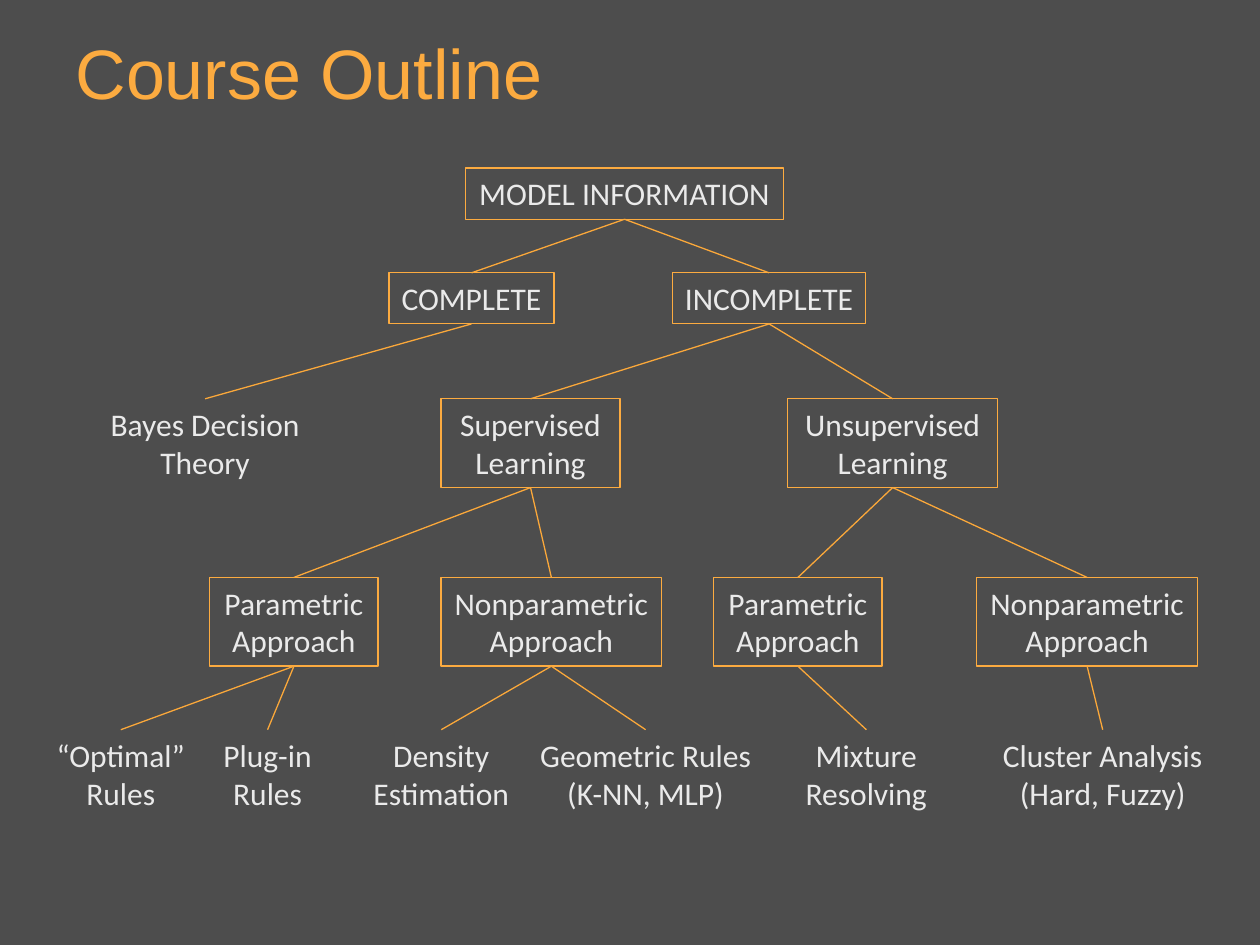
from lxml.etree import SubElement
from pptx import Presentation
from pptx.dml.color import RGBColor
from pptx.enum.shapes import MSO_CONNECTOR, MSO_SHAPE
from pptx.enum.text import MSO_ANCHOR, PP_ALIGN
from pptx.oxml.ns import qn
from pptx.util import Cm, Pt

BACKGROUND = RGBColor(0x4D, 0x4D, 0x4D)
ORANGE = RGBColor(0xFC, 0xAB, 0x40)
LINE_ORANGE = RGBColor(0xFB, 0xA8, 0x3A)
LIGHT = RGBColor(0xEA, 0xEA, 0xEA)

LEVELS = [
    (3.39, 1.03, True, [
        ("model", "MODEL INFORMATION", 9.38, 6.42, None),
    ]),
    (5.5, 1.03, True, [
        ("complete", "COMPLETE", 7.84, 3.33, "model"),
        ("incomplete", "INCOMPLETE", 13.56, 3.89, "model"),
    ]),
    (8.04, 1.79, True, [
        ("supervised", "Supervised Learning", 8.89, 3.61, "incomplete"),
        ("unsupervised", "Unsupervised Learning", 15.88, 4.23, "incomplete"),
    ]),
    (8.04, 1.79, False, [
        ("bayes", "Bayes Decision Theory", 1.91, 4.45, "complete"),
    ]),
    (11.64, 1.79, True, [
        ("sup_param", "Parametric Approach", 4.23, 3.39, "supervised"),
        ("sup_nonparam", "Nonparametric Approach", 8.89, 4.45, "supervised"),
        ("unsup_param", "Parametric Approach", 14.39, 3.39, "unsupervised"),
        ("unsup_nonparam", "Nonparametric Approach", 19.69, 4.45, "unsupervised"),
    ]),
    (14.71, 1.79, False, [
        ("optimal", "“Optimal” Rules", 0.85, 3.17, "sup_param"),
        ("plug_in", "Plug-in Rules", 4.02, 2.75, "sup_param"),
        ("density", "Density Estimation", 7.2, 3.39, "sup_nonparam"),
        ("geometric", "Geometric Rules (K-NN, MLP)", 10.58, 4.87, "sup_nonparam"),
        ("mixture", "Mixture Resolving", 15.88, 3.17, "unsup_param"),
        ("cluster", "Cluster Analysis (Hard, Fuzzy)", 19.9, 4.66, "unsup_nonparam"),
    ]),
]


class TreeSlide:
    def __init__(self, prs):
        self.font = "Calibri"
        self.size = Pt(18)
        self.line_width = Pt(0.75)
        self.s = prs.slides.add_slide(prs.slide_layouts[5])
        self.s.background.fill.solid()
        self.s.background.fill.fore_color.rgb = BACKGROUND

    def style(self, p, name, size, color, align):
        p.alignment = align
        p.font.name = name
        p.font.size = size
        p.font.color.rgb = color

    def title(self, text, left, top, width, height):
        sp = self.s.shapes.title
        sp.left, sp.top, sp.width, sp.height = Cm(left), Cm(top), Cm(width), Cm(height)
        tf = sp.text_frame
        tf.text = text
        tf.vertical_anchor = MSO_ANCHOR.BOTTOM
        self.style(tf.paragraphs[0], "Arial", Pt(40), ORANGE, PP_ALIGN.LEFT)

    def text(self, sp, text, wrap):
        tf = sp.text_frame
        tf.text = text
        tf.word_wrap = wrap
        tf.vertical_anchor = MSO_ANCHOR.TOP
        self.style(tf.paragraphs[0], self.font, self.size, LIGHT, PP_ALIGN.CENTER)
        return sp

    def box(self, text, left, top, width, height):
        sp = self.s.shapes.add_shape(
            MSO_SHAPE.RECTANGLE, Cm(left), Cm(top), Cm(width), Cm(height))
        sp.shadow.inherit = False
        sp.fill.background()
        sp.line.color.rgb = ORANGE
        sp.line.width = self.line_width
        return self.text(sp, text, wrap=height > 1.5)

    def label(self, text, left, top, width, height):
        sp = self.s.shapes.add_textbox(Cm(left), Cm(top), Cm(width), Cm(height))
        return self.text(sp, text, wrap=True)

    def branch(self, parent, child):
        line = self.s.shapes.add_connector(MSO_CONNECTOR.STRAIGHT, 0, 0, 0, 0)
        line.begin_connect(parent, 2)
        line.end_connect(child, 0)
        line.line.color.rgb = LINE_ORANGE
        line.line.width = self.line_width
        SubElement(line._element.spPr, qn("a:effectLst"))


def main():
    prs = Presentation()
    prs.slide_width, prs.slide_height = Cm(25.4), Cm(19.05)
    tree = TreeSlide(prs)
    tree.title("Course Outline", 1.27, 0.2, 22.86, 2.21)
    nodes = {}
    for top, height, boxed, items in LEVELS:
        add = tree.box if boxed else tree.label
        for key, text, left, width, parent in items:
            nodes[key] = add(text, left, top, width, height)
            if parent:
                tree.branch(nodes[parent], nodes[key])
    prs.save("out.pptx")


if __name__ == "__main__":
    main()
